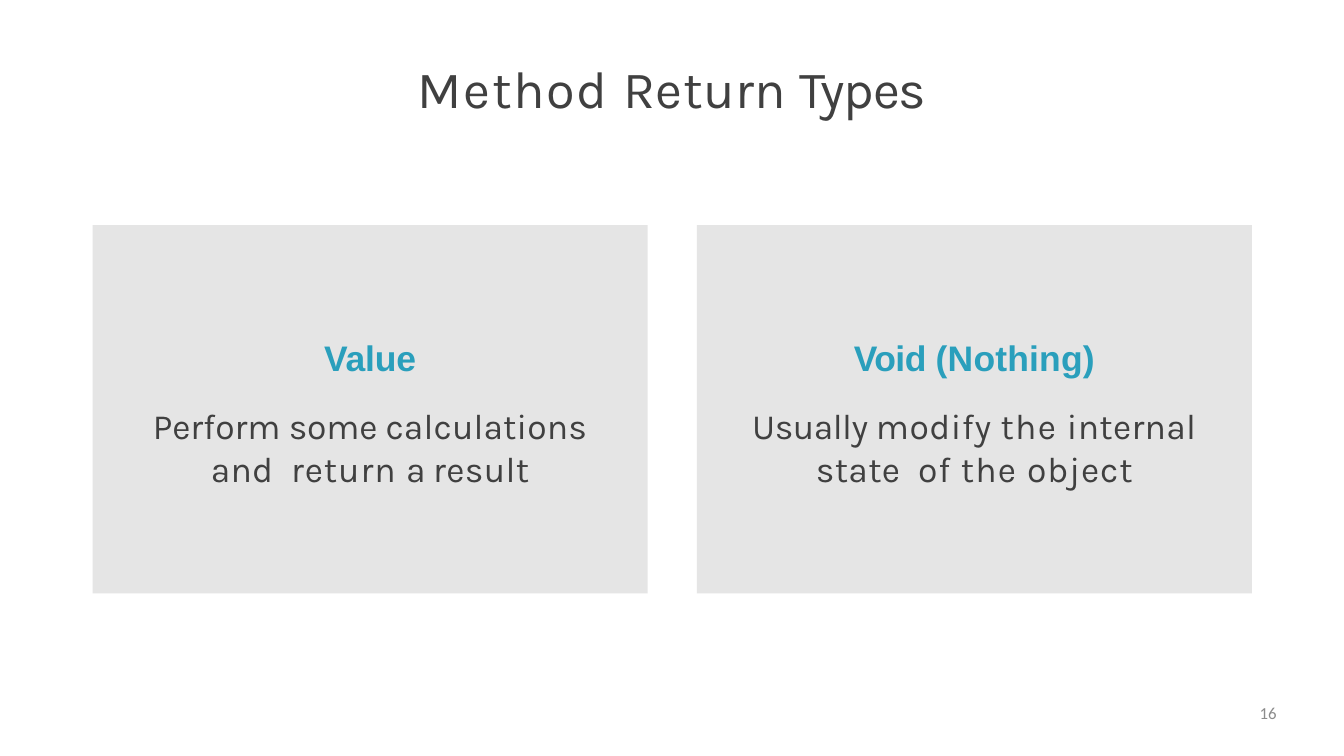
"""Build the slide on method return types."""

from typing import NamedTuple

from pptx import Presentation
from pptx.dml.color import RGBColor
from pptx.enum.shapes import MSO_SHAPE
from pptx.enum.text import MSO_ANCHOR, MSO_AUTO_SIZE, PP_ALIGN
from pptx.slide import Slide
from pptx.text.text import TextFrame, _Paragraph
from pptx.util import Cm, Pt

RECTANGLE = MSO_SHAPE.RECTANGLE
TOP = MSO_ANCHOR.TOP
FIXED = MSO_AUTO_SIZE.NONE
CENTER = PP_ALIGN.CENTER
RIGHT = PP_ALIGN.RIGHT

DARK = RGBColor(0x40, 0x40, 0x40)
TEAL = RGBColor(0x2A, 0x9F, 0xBC)
PANEL = RGBColor(0xE5, 0xE5, 0xE5)
MUTED = RGBColor(0x8C, 0x8C, 0x8C)

CARD_LEFT, CARD_TOP = 3.5, 8.51
CARD_WIDTH, CARD_HEIGHT, CARD_GAP = 20.98, 13.92, 1.86


class Span(NamedTuple):
    text: str
    spacing: float = 0


class Style(NamedTuple):
    font: str
    size: float
    color: RGBColor
    bold: bool = False


class Card(NamedTuple):
    heading: list[Span]
    body: list[Span]


TITLE_STYLE = Style("Karla", 56, DARK)
HEADING_STYLE = Style("Arial", 38, TEAL, True)
BODY_STYLE = Style("Karla", 38, DARK)
NUMBER_STYLE = Style("Calibri", 18, MUTED)

TITLE = [Span("Method ", 1.7), Span("Return ", 0.5), Span("Types", -1.4)]
CARDS = [
    Card(
        [Span("Value", -0.2)],
        [Span("Perform ", -0.1), Span("some ", -0.3), Span("calculations ", 0.1),
         Span("and  ", 0.3), Span("return ", 1), Span("a ", -1.1), Span("result", 0.4)],
    ),
    Card(
        [Span("Void ", -0.6), Span("(Nothing)", 0.2)],
        [Span("Usually ", -0.6), Span("modify ", 0.5), Span("the ", 1.3),
         Span("internal state  ", 0.3), Span("of ", 1), Span("the ", 1.3),
         Span("object", 0.9)],
    ),
]


def set_frame(frame: TextFrame, side: float = 0, top: float = 0) -> None:
    """Set the insets, wrapping and anchor of a text frame."""
    frame.margin_left = frame.margin_right = Cm(side)
    frame.margin_top, frame.margin_bottom = Cm(top), Cm(0)
    frame.auto_size = FIXED
    frame.word_wrap = True
    frame.vertical_anchor = TOP


def write(para: _Paragraph, spans: list[Span], style: Style, align: PP_ALIGN) -> None:
    """Add letter-spaced spans to a paragraph."""
    para.alignment = align
    for span in spans:
        run = para.add_run()
        run.text = span.text
        run.font.name = style.font
        run.font.size = Pt(style.size)
        run.font.bold = style.bold
        run.font.color.rgb = style.color
        if span.spacing:
            run.font._element.set("spc", str(round(span.spacing * 100)))


def add_title(page: Slide) -> None:
    """Place and fill the title placeholder."""
    title = page.shapes.title
    title.left, title.top = Cm(15.3), Cm(2.08)
    title.width, title.height = Cm(20.2), Cm(2.44)
    set_frame(title.text_frame, top=0.03)
    write(title.text_frame.paragraphs[0], TITLE, TITLE_STYLE, CENTER)


def add_card(page: Slide, card: Card, column: int) -> None:
    """Draw a grey panel with a heading and a description."""
    left = CARD_LEFT + column * (CARD_WIDTH + CARD_GAP)
    box = page.shapes.add_shape(
        RECTANGLE, Cm(left), Cm(CARD_TOP), Cm(CARD_WIDTH), Cm(CARD_HEIGHT)
    )
    box.shadow.inherit = False
    box.fill.solid()
    box.fill.fore_color.rgb = PANEL
    box.line.fill.background()
    set_frame(box.text_frame, side=1.5, top=4.21)
    write(box.text_frame.paragraphs[0], card.heading, HEADING_STYLE, CENTER)
    body = box.text_frame.add_paragraph()
    body.space_before = Pt(26)
    body.line_spacing = 1.01
    write(body, card.body, BODY_STYLE, CENTER)


def add_page_number(page: Slide) -> None:
    """Write the page number at the lower right."""
    box = page.shapes.add_textbox(Cm(36.58), Cm(26.57), Cm(11.68), Cm(1.42))
    set_frame(box.text_frame)
    write(box.text_frame.paragraphs[0], [Span("16")], NUMBER_STYLE, RIGHT)


def main() -> None:
    """Assemble and save the deck."""
    deck = Presentation()
    deck.slide_width, deck.slide_height = Cm(50.8), Cm(28.58)
    page = deck.slides.add_slide(deck.slide_layouts.get_by_name("Title Only"))
    add_title(page)
    for column, card in enumerate(CARDS):
        add_card(page, card, column)
    add_page_number(page)
    deck.save("out.pptx")


if __name__ == "__main__":
    main()
